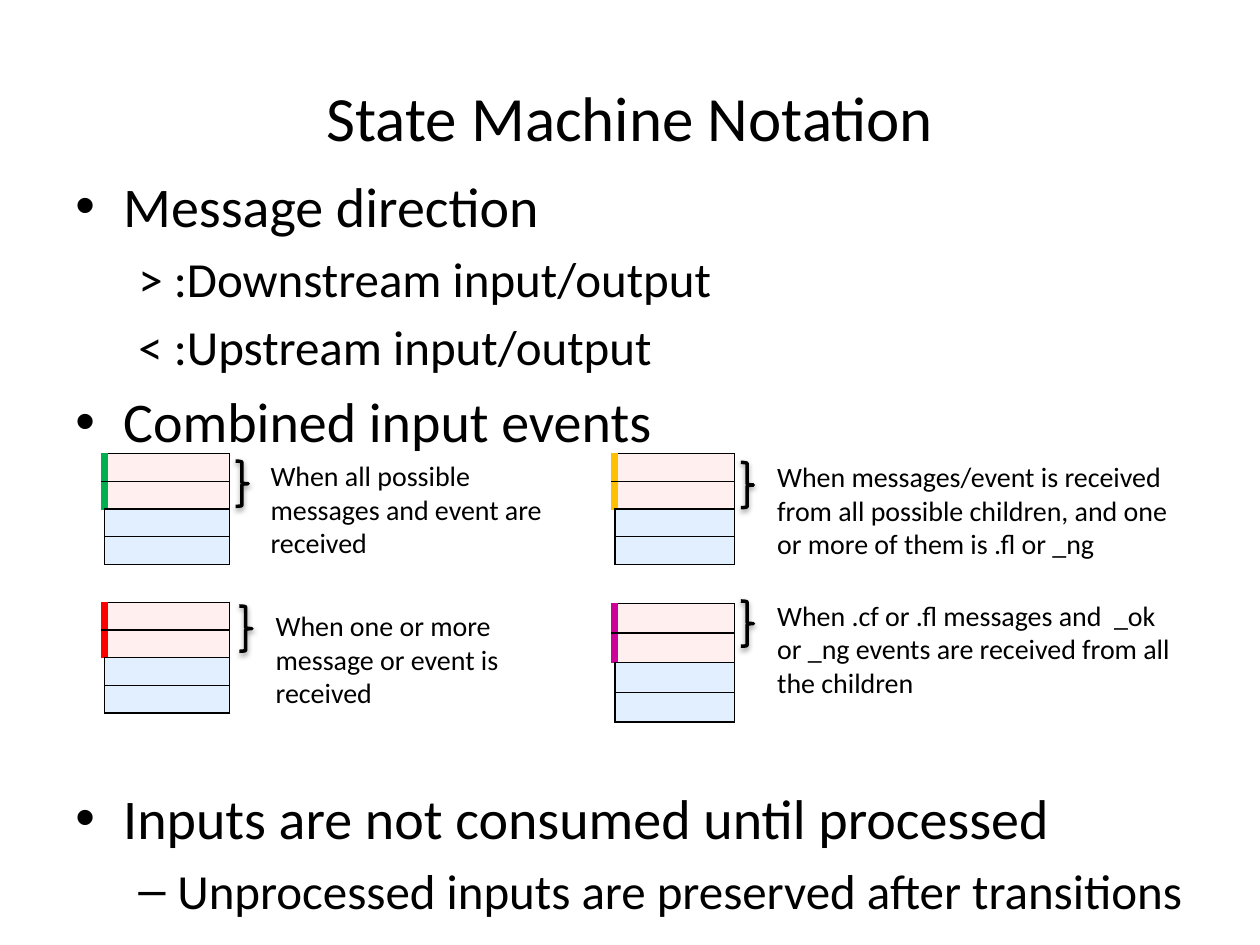
from dataclasses import dataclass

from lxml import etree
from pptx import Presentation
from pptx.dml.color import RGBColor
from pptx.enum.shapes import MSO_SHAPE
from pptx.enum.text import MSO_ANCHOR, PP_ALIGN
from pptx.oxml.ns import qn
from pptx.util import Inches, Pt

BRACE = MSO_SHAPE.RIGHT_BRACE
MIDDLE = MSO_ANCHOR.MIDDLE
CENTER = PP_ALIGN.CENTER
FONT = "Calibri"
COLORS = {
    "text": "000000",
    "line": "000000",
    "input": "FFEFEF",
    "output": "E1EFFF",
    "all": "00B050",
    "any": "FF0000",
    "failed": "FFC000",
    "children": "CC0099",
}
ROW_FILLS = ["input", "input", "output", "output"]


@dataclass
class Bullet:
    text: str
    size: int
    margin: float
    hanging: float
    char: str = ""
    before: float = 0


@dataclass
class Combination:
    """A marked input table, the brace beside it and its explanation."""
    marker: str
    left: float
    top: float
    width: float
    row_height: float
    brace: tuple[float, float]
    note: tuple[float, float, float]
    text: str


BULLETS = [
    Bullet("Message direction", 32, 0.38, 0.38, "•"),
    Bullet("> :Downstream input/output", 28, 0.81, 0.31, before=5.6),
    Bullet("< :Upstream input/output", 28, 0.81, 0.31, before=5.6),
    Bullet("Combined input events", 32, 0.38, 0.38, "•", 6.4),
    Bullet("Inputs are not consumed until processed", 32, 0.38, 0.38, "•", 188),
    Bullet("Unprocessed inputs are preserved after transitions", 28, 0.81, 0.31, "–", 5.6),
]
COMBINATIONS = [
    Combination("all", 0.83, 3.6, 0.99, 0.22, (1.87, 3.66), (2.05, 3.59, 2.56),
                "When all possible messages and event are received"),
    Combination("any", 0.83, 4.78, 0.99, 0.22, (1.9, 4.81), (2.09, 4.78, 2.56),
                "When one or more message or event is received"),
    Combination("failed", 4.88, 3.6, 0.95, 0.22, (5.88, 3.67), (6.07, 3.6, 3.42),
                "When messages/event is received from all possible children, "
                "and one or more of them is .fl or _ng"),
    Combination("children", 4.88, 4.79, 0.95, 0.235, (5.88, 4.77), (6.07, 4.7, 3.42),
                "When .cf or .fl messages and  _ok or _ng events are received "
                "from all the children"),
]


def rgb(name: str) -> RGBColor:
    return RGBColor.from_string(COLORS[name])


def add_text_box(s, left: float, top: float, width: float, height: float):
    tf = s.shapes.add_textbox(Inches(left), Inches(top), Inches(width), Inches(height)).text_frame
    tf.word_wrap = True
    return tf


def set_text(p, text: str, size: int) -> None:
    p.text = text
    for r in p.runs:
        r.font.name, r.font.size = FONT, Pt(size)
        r.font.color.rgb = rgb("text")


def add_bullets(s, bullets: list[Bullet]) -> None:
    tf = add_text_box(s, 0.5, 1.31, 9, 6.06)
    for i, b in enumerate(bullets):
        p = tf.add_paragraph() if i else tf.paragraphs[0]
        set_text(p, b.text, b.size)
        p.space_before = Pt(b.before)
        pPr = p._p.get_or_add_pPr()
        pPr.set("marL", str(Inches(b.margin)))
        pPr.set("indent", str(-Inches(b.hanging)))
        if b.char:
            etree.SubElement(pPr, qn("a:buFont"), typeface="Arial")
            etree.SubElement(pPr, qn("a:buChar"), char=b.char)
        else:
            etree.SubElement(pPr, qn("a:buNone"))


def add_solid_fill(parent, color: str):
    fill = etree.SubElement(parent, qn("a:solidFill"))
    return etree.SubElement(fill, qn("a:srgbClr"), val=COLORS[color])


def set_cell_borders(cell, left_color: str, left_width: float) -> None:
    tcPr = cell._tc.get_or_add_tcPr()
    for side in ("L", "R", "T", "B"):
        color, width = (left_color, left_width) if side == "L" else ("line", 1)
        ln = etree.SubElement(tcPr, qn(f"a:ln{side}"), w=str(Pt(width)))
        add_solid_fill(ln, color)


def add_input_table(s, c: Combination) -> None:
    rows = len(ROW_FILLS)
    table = s.shapes.add_table(rows, 1, Inches(c.left), Inches(c.top),
                               Inches(c.width), Inches(c.row_height * rows)).table
    table.first_row = table.horz_banding = False
    for i, fill in enumerate(ROW_FILLS):
        cell = table.cell(i, 0)
        cell.margin_top = cell.margin_bottom = 0
        end = etree.SubElement(cell.text_frame.paragraphs[0]._p, qn("a:endParaRPr"))
        end.set("sz", "800")
        if fill == "input":
            set_cell_borders(cell, c.marker, 4.5)
        else:
            set_cell_borders(cell, "line", 1)
        cell.fill.solid()
        cell.fill.fore_color.rgb = rgb(fill)


def add_brace(s, left: float, top: float) -> None:
    brace = s.shapes.add_shape(BRACE, Inches(left), Inches(top), Inches(0.1), Inches(0.36))
    brace.fill.background()
    brace.line.color.rgb = rgb("line")
    brace.line.width = Pt(2)
    brace.shadow.inherit = False
    effects = brace._element.spPr.find(qn("a:effectLst"))
    shadow = etree.SubElement(effects, qn("a:outerShdw"), blurRad=str(Pt(3.1)),
                              dist=str(Pt(1.6)), dir="5400000", rotWithShape="0")
    color = add_shadow_color(shadow)
    etree.SubElement(color, qn("a:alpha"), val="38000")


def add_shadow_color(shadow):
    return etree.SubElement(shadow, qn("a:srgbClr"), val=COLORS["line"])


def add_combination(s, c: Combination) -> None:
    add_input_table(s, c)
    add_brace(s, *c.brace)
    tf = add_text_box(s, *c.note, 0.91)
    set_text(tf.paragraphs[0], c.text, 16)


def main() -> None:
    prs = Presentation()
    prs.slide_width, prs.slide_height = Inches(10), Inches(7.5)
    s = prs.slides.add_slide(prs.slide_layouts[6])

    title = add_text_box(s, 0.5, 0.3, 9, 1.25)
    title.vertical_anchor = MIDDLE
    set_text(title.paragraphs[0], "State Machine Notation", 36)
    title.paragraphs[0].alignment = CENTER

    add_bullets(s, BULLETS)
    for c in COMBINATIONS:
        add_combination(s, c)
    prs.save("out.pptx")


if __name__ == "__main__":
    main()
